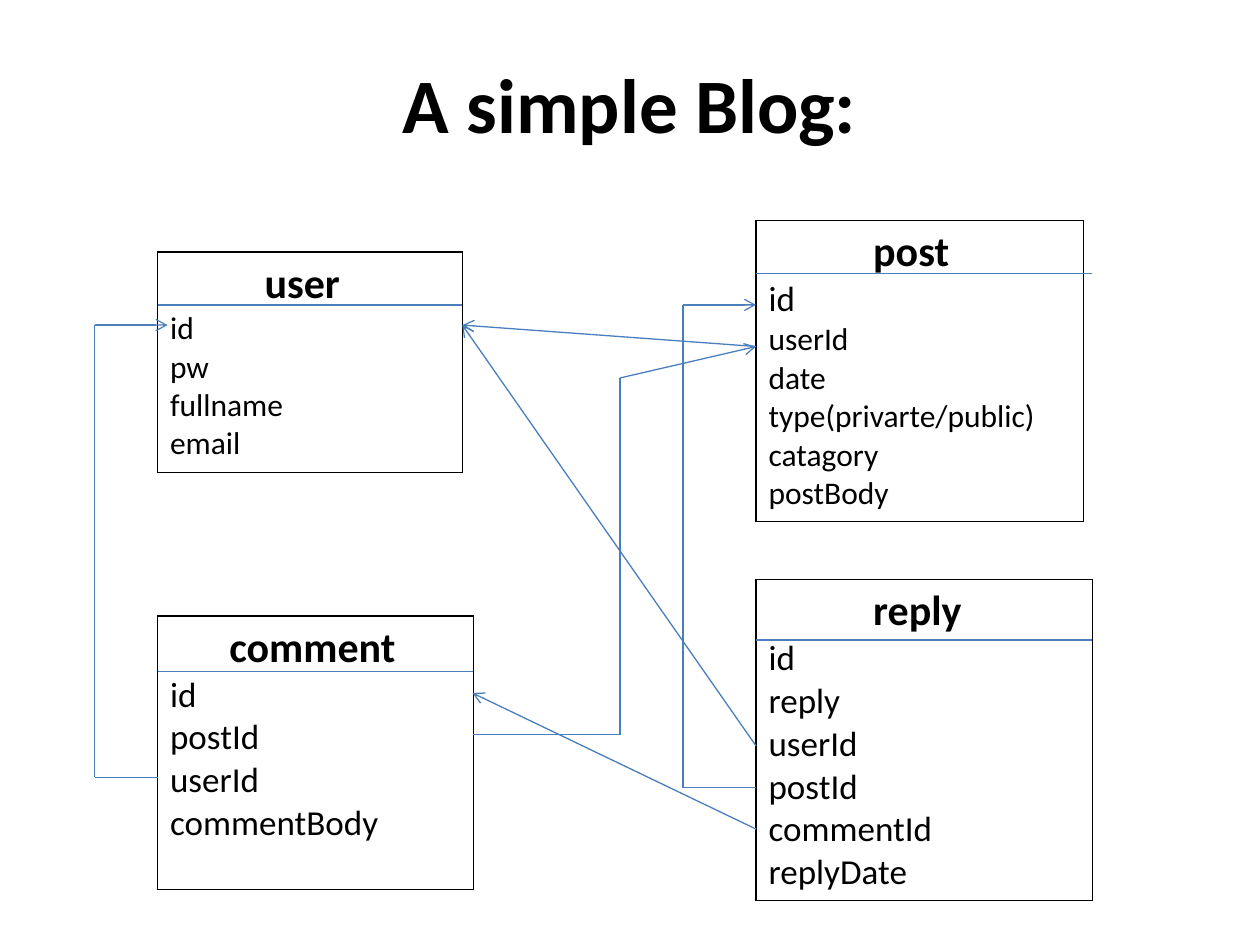
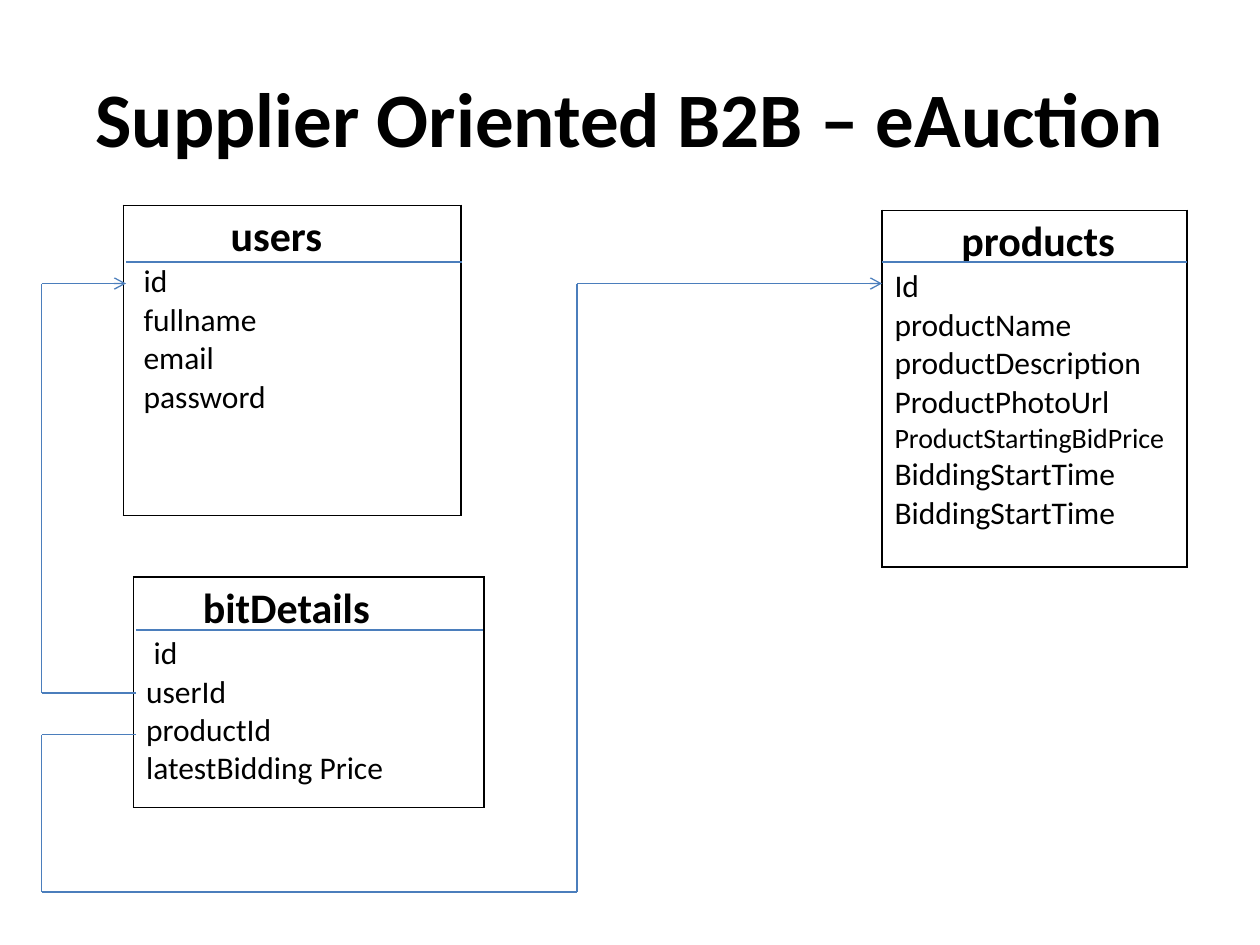
from lxml import etree
from pptx import Presentation
from pptx.enum.shapes import MSO_CONNECTOR
from pptx.enum.text import MSO_ANCHOR, PP_ALIGN
from pptx.dml.color import RGBColor
from pptx.oxml.ns import qn
from pptx.util import Inches, Pt

STRAIGHT = MSO_CONNECTOR.STRAIGHT
MIDDLE = MSO_ANCHOR.MIDDLE
CENTER = PP_ALIGN.CENTER

COLORS = {"text": "000000", "border": "000000", "line": "4B7EBC"}
FONT = "Calibri"
TITLE_SIZE, NAME_SIZE = 44, 24
EDGES = ("a:lnL", "a:lnR", "a:lnT", "a:lnB")

# Entity: name, box (left, top, width, height), indent of the name,
# fields as (text, size, indent).
# Rule: a plain line. Link: points of a route, with an arrow at its end.
SLIDES = [
    {
        "title": "A simple Blog:",
        "title_height": 1.03,
        "entities": [
            ("user", (1.25, 2, 2.42, 1.75), 0.75,
             [(f, 18, 0) for f in ("id", "pw", "fullname", "email")]),
            ("comment", (1.25, 4.89, 2.51, 2.17), 0.57 - 0.1,
             [(f, 20, 0) for f in ("id", "postId", "userId", "commentBody")]),
            ("post", (6, 1.75, 2.6, 2.39), 0.83,
             [("id", 20, 0)] + [(f, 18, 0) for f in (
                 "userId", "date", "type(privarte/public)",
                 "catagory", "postBody")]),
            ("reply", (6, 4.6, 2.67, 2.54), 0.83,
             [(f, 20, 0) for f in ("id", "reply", "userId", "postId",
                                   "commentId", "replyDate")]),
        ],
        "rules": [
            [(1.25, 2.42), (3.67, 2.42)],
            [(6, 2.17), (8.67, 2.17)],
            [(1.25, 5.33), (3.75, 5.33)],
            [(6, 5.08), (8.67, 5.08)],
        ],
        "links": [
            [(6, 5.92), (3.67, 2.58)],
            [(6, 6.25), (5.42, 6.25), (5.42, 2.42), (6, 2.42)],
            [(6, 6.58), (3.75, 5.5)],
            [(1.25, 6.17), (0.75, 6.17), (0.75, 2.58), (1.33, 2.58)],
            [(6, 2.75), (3.67, 2.58)],
            [(3.75, 5.83), (4.92, 5.83), (4.92, 3), (6, 2.75)],
        ],
    },
    {
        "title": "Supplier Oriented B2B – eAuction",
        "title_height": 1.25,
        "entities": [
            ("products", (7, 1.67, 2.42, 2.83), 0.53,
             [(f, 18, 0) for f in ("Id", "productName", "productDescription",
                                   "ProductPhotoUrl")]
             + [("ProductStartingBidPrice", 16, 0)]
             + [("BiddingStartTime", 18, 0)] * 2),
            ("bitDetails", (1.06, 4.58, 2.78, 1.83), 0.45,
             [("id", 18, 0.06)] + [(f, 18, 0) for f in (
                 "userId", "productId", "latestBidding Price")]),
            ("users", (0.98, 1.63, 2.68, 2.46), 0.75,
             [(f, 18, 0.06) for f in ("id", "fullname", "email",
                                      "password")]),
        ],
        "rules": [
            [(7, 2.08), (9.42, 2.08)],
            [(1.08, 5), (3.83, 5)],
            [(1, 2.08), (3.67, 2.08)],
        ],
        "links": [
            [(1.08, 5.5), (0.33, 5.5), (0.33, 2.25), (1, 2.25)],
            [(1.08, 5.83), (0.33, 5.83), (0.33, 7.08), (4.58, 7.08),
             (4.58, 2.25), (7, 2.25)],
        ],
    },
]


def color(name):
    return RGBColor.from_string(COLORS[name])


def style(para, size, bold=False):
    for run in para.runs:
        font = run.font
        font.name, font.size, font.bold = FONT, Pt(size), bold
        font.color.rgb = color("text")


def add_title(slide, text, height):
    title = slide.shapes.title
    title.left, title.top = Inches(0.5), Inches(0.3)
    title.width, title.height = Inches(9), Inches(height)
    frame = title.text_frame
    frame.text = text
    frame.vertical_anchor = MIDDLE
    para = frame.paragraphs[0]
    para.alignment = CENTER
    style(para, TITLE_SIZE, True)


def frame_cell(cell):
    """Give the cell a thin border on each edge and no fill."""
    props = cell._tc.get_or_add_tcPr()
    for edge in EDGES:
        line = etree.SubElement(props, qn(edge), w=str(Pt(1)))
        fill = etree.SubElement(line, qn("a:solidFill"))
        etree.SubElement(fill, qn("a:srgbClr"), val=COLORS["border"])
    cell.fill.background()


def add_entity(slide, name, box, indent, fields):
    place = [Inches(v) for v in box]
    table = slide.shapes.add_table(1, 1, *place).table
    table.first_row = table.horz_banding = False
    cell = table.cell(0, 0)
    frame_cell(cell)
    frame = cell.text_frame
    rows = [(name, NAME_SIZE, indent)] + fields
    frame.text = "\n".join(row[0] for row in rows)
    for i, (para, row) in enumerate(zip(frame.paragraphs, rows)):
        style(para, row[1], bold=i == 0)
        para._p.get_or_add_pPr().set("marL", str(Inches(row[2])))


def add_route(slide, points, arrow=False):
    for start, end in zip(points, points[1:]):
        ends = [Inches(v) for v in start + end]
        line = slide.shapes.add_connector(STRAIGHT, *ends)
        line.line.color.rgb = color("line")
        line.line.width = Pt(0.75)
        etree.SubElement(line._element.spPr, qn("a:effectLst"))
    if arrow:
        etree.SubElement(line.line._get_or_add_ln(), qn("a:tailEnd"),
                         type="arrow")


def main():
    deck = Presentation()
    deck.slide_width, deck.slide_height = Inches(10), Inches(7.5)
    for data in SLIDES:
        slide = deck.slides.add_slide(deck.slide_layouts[5])
        add_title(slide, data["title"], data["title_height"])
        for entity in data["entities"]:
            add_entity(slide, *entity)
        for points in data["rules"]:
            add_route(slide, points)
        for points in data["links"]:
            add_route(slide, points, arrow=True)
    deck.save("out.pptx")


if __name__ == "__main__":
    main()
